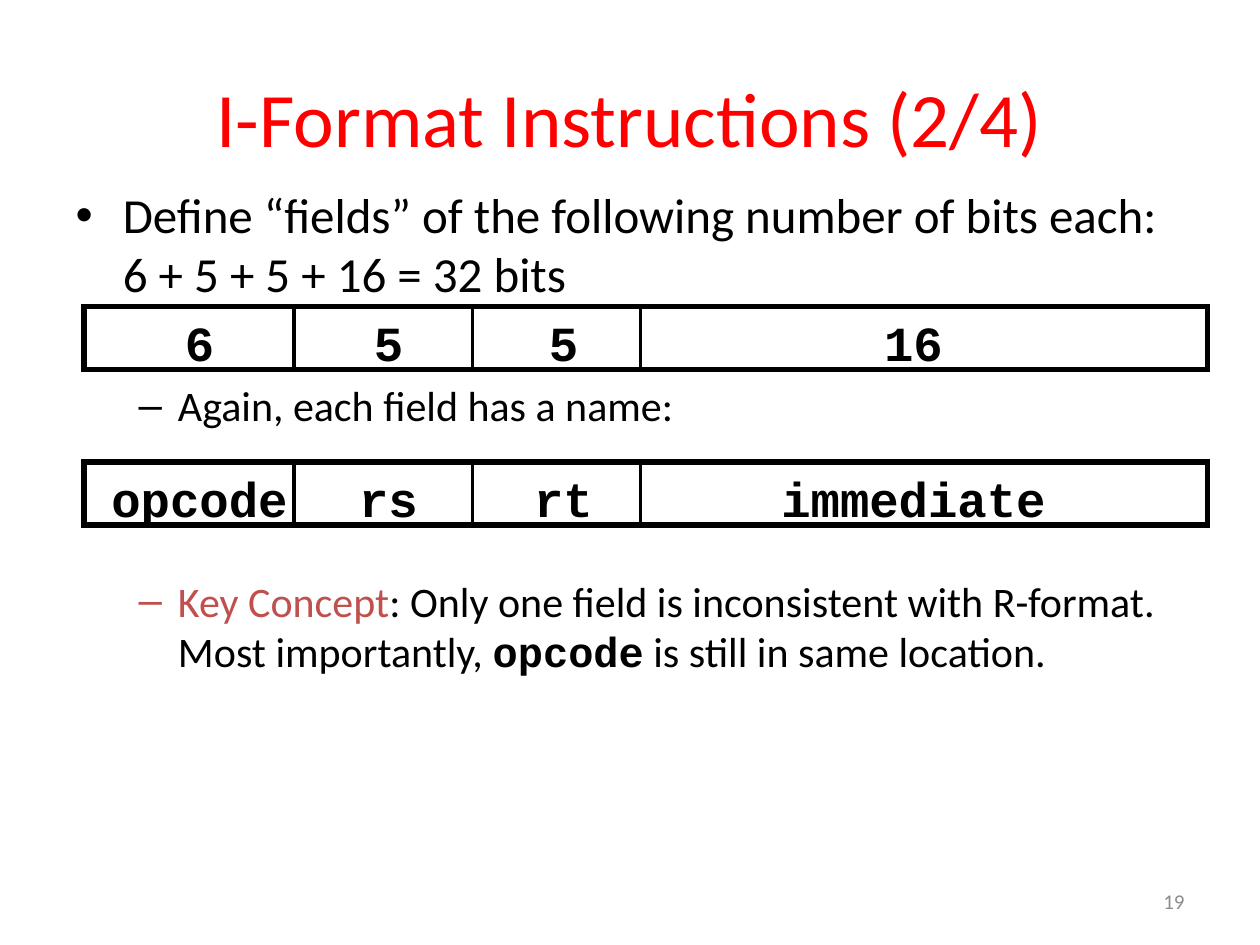
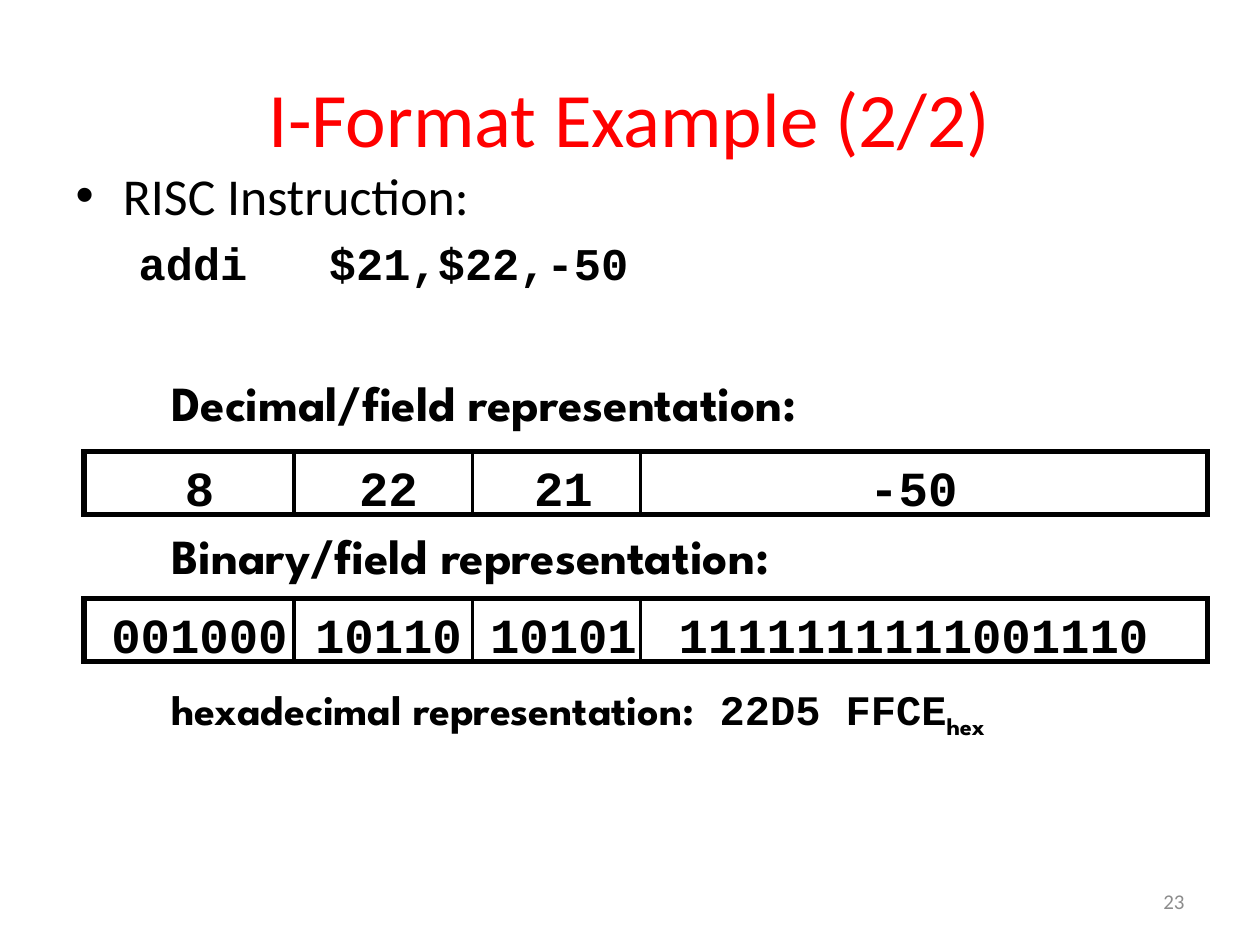
from lxml.etree import SubElement
from pptx import Presentation
from pptx.dml.color import RGBColor
from pptx.enum.shapes import MSO_CONNECTOR, MSO_SHAPE
from pptx.enum.text import MSO_ANCHOR, MSO_AUTO_SIZE as FIT, PP_ALIGN as ALIGN
from pptx.oxml.ns import qn
from pptx.util import Pt

RED = RGBColor(0xFF, 0x00, 0x00)
BRICK = RGBColor(0xC0, 0x50, 0x4D)
BLACK = RGBColor(0x00, 0x00, 0x00)
GRAY = RGBColor(0x8C, 0x8C, 0x8C)
SANS, MONO, HEAD = "Calibri", "Courier New", "League Spartan"

# Field bar, in points
LEFT, WIDE, TALL = 48, 642, 36
CUTS = (168, 270, 366)
MIDS = (114, 222, 322, 522)
CHAR, INSET = 16.8, 7.2


def write(para, text, size=28, font=SANS, color=BLACK, bold=False, base=None):
    run = para.add_run()
    run.text = text
    run.font.size = Pt(size)
    run.font.name = font
    run.font.color.rgb = color
    run.font.bold = bold
    if base:
        run.font._element.set("baseline", str(base))


def add_box(shapes, left, top, wide, tall, wrap=True):
    frame = shapes.add_textbox(Pt(left), Pt(top), Pt(wide), Pt(tall)).text_frame
    frame.word_wrap = wrap
    return frame


deck = Presentation()
deck.slide_width, deck.slide_height = Pt(720), Pt(540)

# Title, body frame, page number and field bars of each slide
pages = [
    ("I-Format Instructions (2/4)", "19", (102, 642, 318),
     [(175, ("6", "5", "5", "16")),
      (264, ("opcode", "rs", "rt", "immediate"))]),
    ("I-Format Example (2/2)", "23", (90, 618, 75),
     [(258, ("8", "22", "21", "-50")),
      (342, ("001000", "10110", "10101", "1111111111001110"))]),
]
slides, bodies = [], []
for title, page, (top, wide, tall), bars in pages:
    slide = deck.slides.add_slide(deck.slide_layouts[1])
    slides.append(slide)

    head = slide.shapes.title
    head.left, head.top, head.width, head.height = Pt(36), Pt(21.6), Pt(648), Pt(90)
    write(head.text_frame.paragraphs[0], title, size=44, color=RED)

    body = slide.placeholders[1]
    body.left, body.top, body.width, body.height = Pt(36), Pt(top), Pt(wide), Pt(tall)
    body.text_frame.auto_size = FIT.NONE
    bodies.append(body.text_frame)

    for y, names in bars:
        parts = slide.shapes.add_group_shape().shapes
        for mid, name in zip(MIDS, names):
            wide = len(name) * CHAR + 2 * INSET
            frame = add_box(parts, mid - wide / 2, y, wide, 41, wrap=False)
            frame.auto_size = FIT.SHAPE_TO_FIT_TEXT
            frame.paragraphs[0].alignment = ALIGN.CENTER
            write(frame.paragraphs[0], name, font=MONO, bold=True)
        bar = parts.add_shape(MSO_SHAPE.RECTANGLE, Pt(LEFT), Pt(y), Pt(WIDE), Pt(TALL))
        bar.shadow.inherit = False
        bar.fill.background()
        bar.line.color.rgb = BLACK
        bar.line.width = Pt(3)
        SubElement(bar.line._get_or_add_ln(), qn("a:miter")).set("lim", "800000")
        for x in CUTS:
            cut = parts.add_connector(MSO_CONNECTOR.STRAIGHT, Pt(x), Pt(y), Pt(x), Pt(y + TALL))
            cut.line.color.rgb = BLACK
            cut.line.width = Pt(2.25)
            SubElement(cut._element.spPr, qn("a:effectLst"))

    frame = add_box(slide.shapes, 516, 500.5, 168, 28.75)
    frame.vertical_anchor = MSO_ANCHOR.MIDDLE
    frame.paragraphs[0].alignment = ALIGN.RIGHT
    write(frame.paragraphs[0], page, size=12, color=GRAY)

# Slide 1: list around the field bars
body = bodies[0]
write(body.paragraphs[0],
      "Define “fields” of the following number of bits each: 6 + 5 + 5 + 16 = 32 bits")
name, key = body.add_paragraph(), body.add_paragraph()
for para, gap in ((name, 44), (key, 83)):
    para.level = 1
    para.space_before = Pt(gap)
write(name, "Again, each field has a name:", size=24)
write(key, "Key Concept", size=24, color=BRICK)
write(key, ": Only one field is inconsistent with R-format. Most importantly, ", size=24)
write(key, "opcode", size=24, font=MONO, bold=True)
write(key, " is still in same location.", size=24)

# Slide 2: instruction, its operands set off by a hanging indent
body = bodies[1]
write(body.paragraphs[0], "RISC Instruction:", size=29.6)
code = body.add_paragraph()
code.level = 1
code.space_before = Pt(5.2)
props = code._p.get_or_add_pPr()
props.set("marL", str(Pt(144.8)))
props.set("indent", str(-Pt(108.8)))
SubElement(props, qn("a:buNone"))
write(code, "addi\t$21,$22,-50", size=25.9, font=MONO, bold=True)

# Slide 2: captions
for y, tall, size, text in (
    (216, 33.8, 28, "Decimal/field representation:"),
    (303, 33.8, 28, "Binary/field representation:"),
    (390, 29.5, 24, "hexadecimal representation:"),
):
    frame = add_box(slides[1].shapes, 54, y, 618, tall)
    frame.auto_size = FIT.SHAPE_TO_FIT_TEXT
    frame.margin_left = frame.margin_right = Pt(5)
    frame.margin_top = frame.margin_bottom = Pt(2.2)
    line = frame.paragraphs[0]
    line.level = 1
    line.line_spacing = 0.85
    props = line._p.get_or_add_pPr()
    props.set("marL", str(Pt(54)))
    props.set("indent", str(-Pt(15)))
    SubElement(SubElement(props, qn("a:spcBef")), qn("a:spcPct")).set("val", "40000")
    write(line, text, size=size, font=HEAD, bold=True)
write(line, " 22D5 FFCE", size=24, font=MONO, bold=True)
write(line, "hex", size=24, font=HEAD, bold=True, base=-25000)

deck.save("out.pptx")
